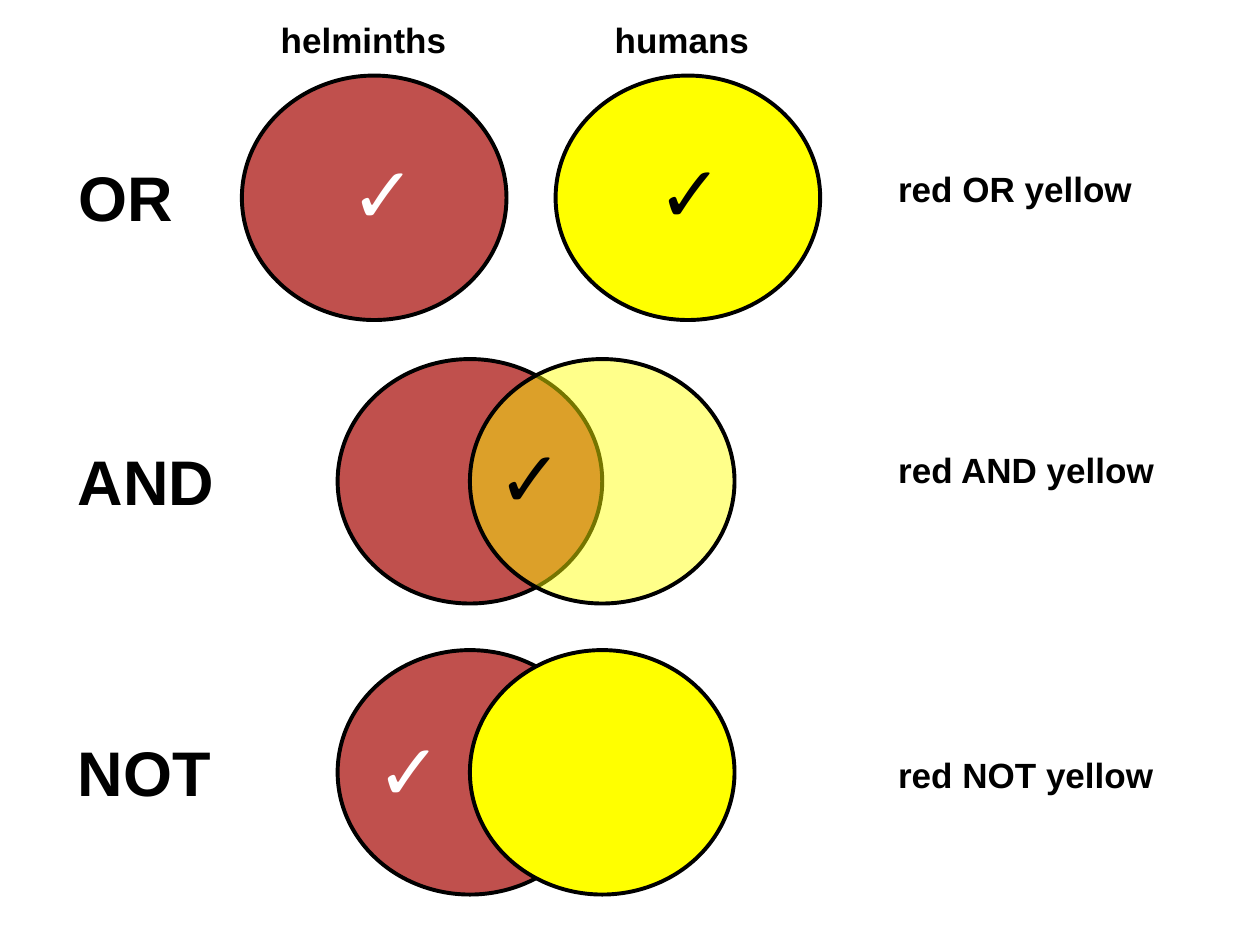
"""Build a slide of Venn diagrams for the operators OR, AND and NOT."""
import pptx
import pptx.util
import pptx.dml.color
import pptx.enum.shapes
import pptx.enum.text
import pptx.oxml.ns
import lxml.etree

Inches = pptx.util.Inches
Pt = pptx.util.Pt
RGBColor = pptx.dml.color.RGBColor
BLACK = RGBColor(0, 0, 0)
WHITE = RGBColor(255, 255, 255)
RED = RGBColor(0xC0, 0x50, 0x4D)
YELLOW = RGBColor(255, 255, 0)

deck = pptx.Presentation()
deck.slide_width = Inches(10)
deck.slide_height = Inches(7.5)
slide = deck.slides.add_slide(deck.slide_layouts[5])
title = slide.shapes.title


def add_disc(left, top, color, alpha=100):
    disc = slide.shapes.add_shape(
        pptx.enum.shapes.MSO_SHAPE.OVAL,
        Inches(left), Inches(top), Inches(2.1), Inches(1.94))
    disc.shadow.inherit = False
    disc.fill.solid()
    disc.fill.fore_color.rgb = color
    disc.line.color.rgb = BLACK
    disc.line.width = Pt(2.25)
    if alpha < 100:
        tint = disc.fill._xPr.find(".//" + pptx.oxml.ns.qn("a:srgbClr"))
        lxml.etree.SubElement(
            tint, pptx.oxml.ns.qn("a:alpha"), val=str(alpha * 1000))


def add_label(text, left, top, width, height, size, color=BLACK, box=None):
    if box is None:
        box = slide.shapes.add_textbox(0, 0, 0, 0)
    box.left, box.top = Inches(left), Inches(top)
    box.width, box.height = Inches(width), Inches(height)
    frame = box.text_frame
    frame.word_wrap = False
    frame.auto_size = pptx.enum.text.MSO_AUTO_SIZE.SHAPE_TO_FIT_TEXT
    frame.vertical_anchor = pptx.enum.text.MSO_ANCHOR.TOP
    para = frame.paragraphs[0]
    para.alignment = pptx.enum.text.PP_ALIGN.LEFT
    run = para.add_run()
    run.text = text
    run.font.name = "Arial"
    run.font.size = Pt(size)
    run.font.bold = True
    run.font.color.rgb = color


rows = [
    ("OR", 0.6, 1.92, 4.41, 100, 0.96, 1.28, 2.07),
    ("AND", 2.85, 2.68, 3.73, 46, 1.3, 3.51, 2.25),
    ("NOT", 5.16, 2.68, 3.73, 100, 1.27, 5.93, 2.24),
]
for word, top, red, yellow, alpha, wide, note, span in rows:
    add_disc(red, top, RED)
    add_disc(yellow, top, YELLOW, alpha)
    add_label(word, 0.52, top + 0.61, wide, 0.71, 36,
              box=title if word == "OR" else None)
    add_label(f"red {word} yellow", 7.03, note, span, 0.44, 20)

ticks = [(2.68, 1.1, WHITE), (5.12, 1.09, BLACK),
         (3.85, 3.35, BLACK), (2.89, 5.68, WHITE)]
for left, top, color in ticks:
    add_label("✓", left, top, 0.83, 0.86, 45, color)
ticks_shift = 0

for name, left, wide in [("helminths", 2.13, 1.53), ("humans", 4.78, 1.28)]:
    add_label(name, left, 0.1, wide, 0.44, 20)

deck.save("out.pptx")
